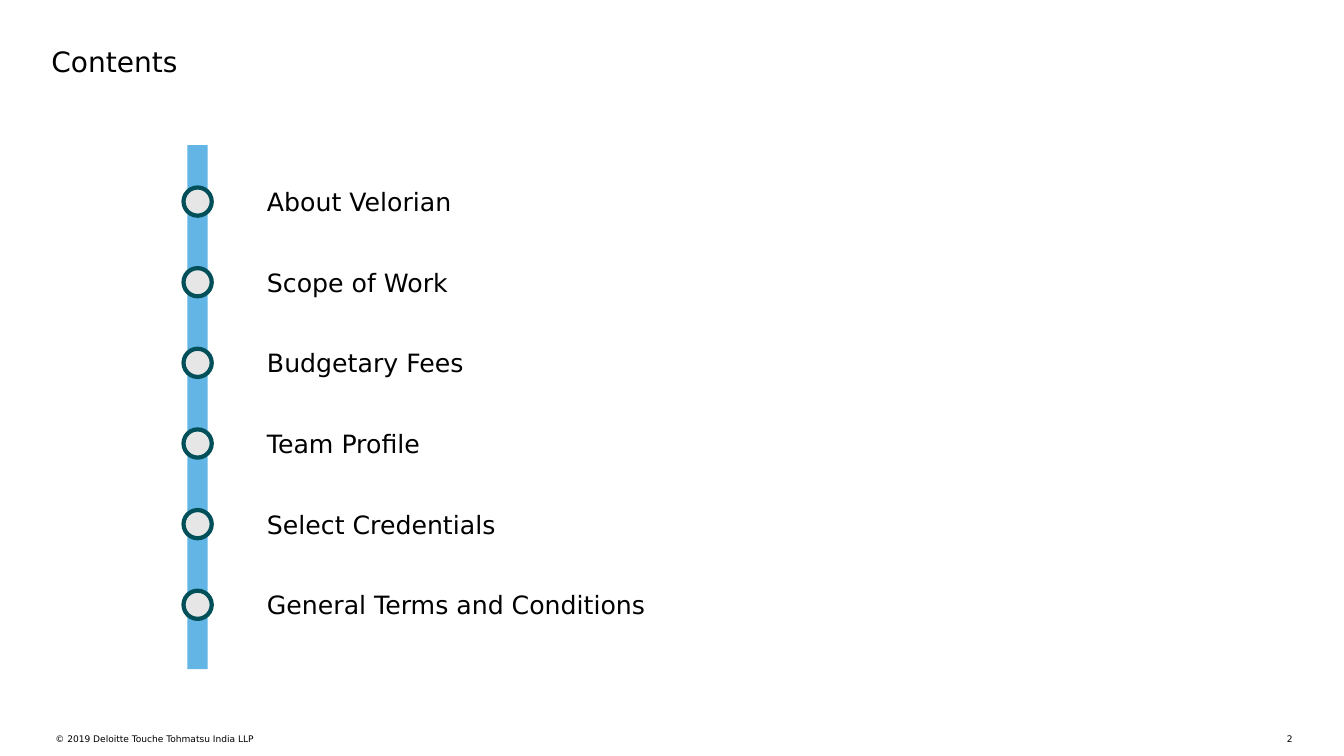
import pptx
import pptx.util
import pptx.dml.color
import pptx.enum.shapes
import pptx.enum.text
from dataclasses import dataclass

SHAPE = pptx.enum.shapes.MSO_SHAPE
ALIGN = pptx.enum.text.PP_ALIGN
ANCHOR = pptx.enum.text.MSO_ANCHOR


@dataclass(frozen=True)
class Theme:
    font: str = "DejaVu Sans"
    ink: str = "000000"
    bar: str = "62B5E5"
    dot: str = "E7E6E6"
    ring: str = "004F59"
    head: float = 20
    item: float = 18
    foot: float = 6.5
    edge: float = 3


THEME = Theme()
WIDE, HIGH = 13.33, 7.5
COLS, ROWS = 133.3, 75
ITEMS = (
    "About Velorian",
    "Scope of Work",
    "Budgetary Fees",
    "Team Profile",
    "Select Credentials",
    "General Terms and Conditions",
)
AXIS, FIRST, STEP = 19.6, 20, 8
DOT = 2.8


def color(code):
    return pptx.dml.color.RGBColor.from_string(code)


def place(col, row, cols, rows):
    across, down = WIDE / COLS, HIGH / ROWS
    sizes = (col * across, row * down, cols * across, rows * down)
    return [pptx.util.Inches(size) for size in sizes]


def label(slide, text, spot, size, align=ALIGN.LEFT, inset=(0, 0),
          anchor=ANCHOR.TOP):
    frame = slide.shapes.add_textbox(*place(*spot)).text_frame
    frame.word_wrap = True
    frame.vertical_anchor = anchor
    side, edge = map(pptx.util.Inches, inset)
    frame.margin_left = frame.margin_right = side
    frame.margin_top = frame.margin_bottom = edge
    frame.text = text
    para = frame.paragraphs[0]
    para.alignment = align
    font = para.runs[0].font
    font.name = THEME.font
    font.size = pptx.util.Pt(size)
    font.color.rgb = color(THEME.ink)


def block(slide, kind, spot, fill, ring=None):
    shape = slide.shapes.add_shape(kind, *place(*spot))
    shape.shadow.inherit = False
    shape.fill.solid()
    shape.fill.fore_color.rgb = color(fill)
    if ring:
        shape.line.color.rgb = color(ring)
        shape.line.width = pptx.util.Pt(THEME.edge)
    else:
        shape.line.fill.background()


def entry(slide, text, row):
    spot = (AXIS - DOT / 2, row - DOT / 2, DOT, DOT)
    block(slide, SHAPE.OVAL, spot, THEME.dot, THEME.ring)
    label(slide, text, (25.5, row - 2, 40, 4), THEME.item,
          inset=(0.1, 0.05), anchor=ANCHOR.MIDDLE)


def main():
    deck = pptx.Presentation()
    deck.slide_width = pptx.util.Inches(WIDE)
    deck.slide_height = pptx.util.Inches(HIGH)
    slide = deck.slides.add_slide(deck.slide_layouts[6])
    label(slide, "2", (124.8, 72.8, 3.4, 1.1), THEME.foot, ALIGN.RIGHT)
    label(slide, "© 2019 Deloitte Touche Tohmatsu India LLP",
          (5.5, 72.8, 58.6, 2.2), THEME.foot)
    label(slide, "Contents", (5.1, 4.4, 123.1, 7.6), THEME.head)
    block(slide, SHAPE.RECTANGLE, (AXIS - 1, 14.4, 2, 52), THEME.bar)
    for index, text in enumerate(ITEMS):
        entry(slide, text, FIRST + index * STEP)
    deck.save("out.pptx")


if __name__ == "__main__":
    main()
